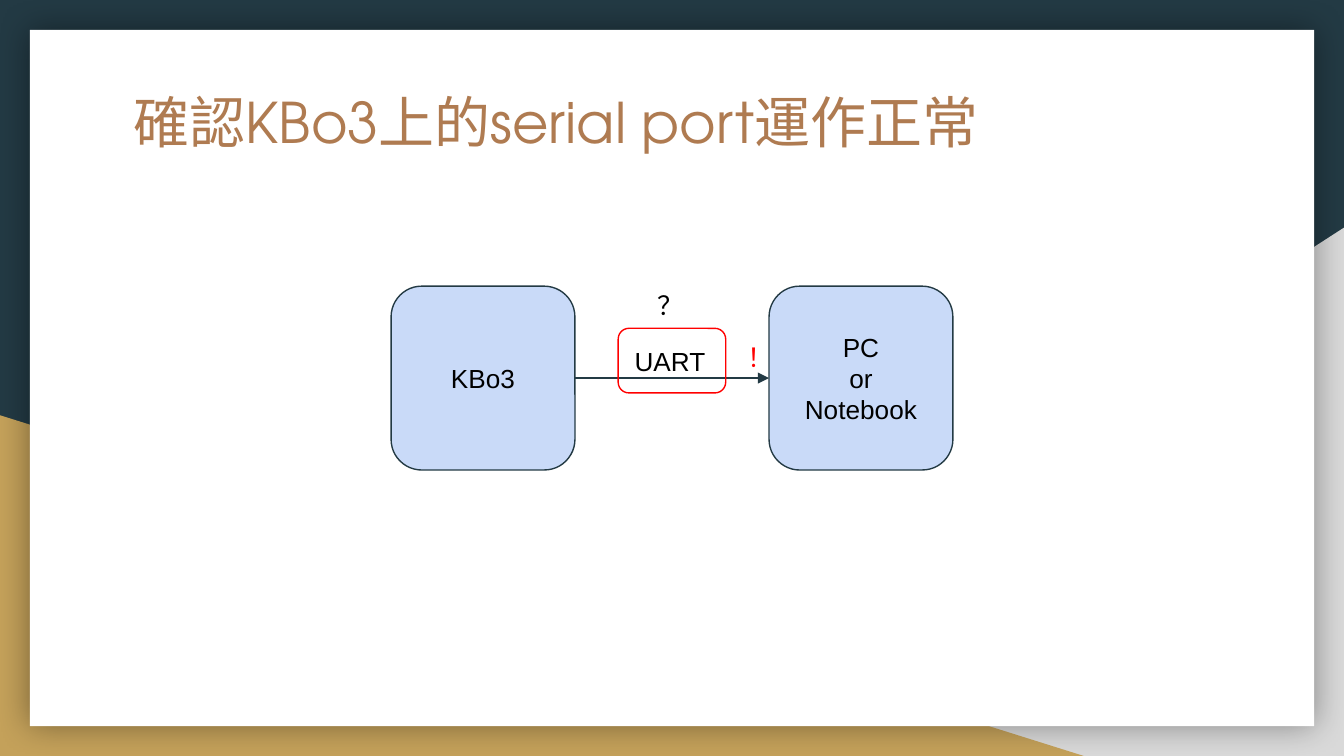
from dataclasses import dataclass

from lxml import etree
from pptx import Presentation
from pptx.dml.color import RGBColor
from pptx.enum import shapes, text
from pptx.oxml import ns
from pptx.util import Pt


@dataclass(frozen=True)
class Theme:
    navy: str = "233A44"
    grey: str = "D9D9D9"
    gold: str = "C4A15A"
    white: str = "FFFFFF"
    brown: str = "AF7B51"
    blue: str = "C9DAF8"
    red: str = "FF0000"
    black: str = "000000"
    title_font: str = "TeX Gyre Adventor"
    body_font: str = "Arial"
    mark_font: str = "Calibri"
    title_size: float = 30
    body_size: float = 14
    line: float = 0.75
    inset: float = 7.2
    corner: float = 0.167


T = Theme()
SHAPE = shapes.MSO_SHAPE
CENTER = text.PP_ALIGN.CENTER
LEFT = text.PP_ALIGN.LEFT
TOP = text.MSO_ANCHOR.TOP
MIDDLE = text.MSO_ANCHOR.MIDDLE
BOARD = "KBo3"


def rgb(color):
    return RGBColor.from_string(color)


def add_xml(parent, tag, **attrs):
    return etree.SubElement(parent, ns.qn(tag), attrs)


def write(tf, words, font=T.body_font, size=T.body_size, color=T.black,
          align=CENTER, anchor=MIDDLE):
    tf.word_wrap = True
    tf.auto_size = text.MSO_AUTO_SIZE.NONE
    tf.vertical_anchor = anchor
    tf.margin_left = tf.margin_right = Pt(T.inset)
    tf.margin_top = tf.margin_bottom = Pt(T.inset)
    for i, line in enumerate(words.split("\n")):
        p = tf.add_paragraph() if i else tf.paragraphs[0]
        p.alignment = align
        r = p.add_run()
        r.text = line
        r.font.name = font
        r.font.size = Pt(size)
        r.font.color.rgb = rgb(color)
        add_xml(r.font._element, "a:ea", typeface=font)


def add_box(s, kind, box, fill=None, line=None):
    sp = s.shapes.add_shape(kind, *map(Pt, box))
    sp.shadow.inherit = False
    if fill:
        sp.fill.solid()
        sp.fill.fore_color.rgb = rgb(fill)
    else:
        sp.fill.background()
    if line:
        sp.line.color.rgb = rgb(line)
        sp.line.width = Pt(T.line)
    else:
        sp.line.fill.background()
    return sp


def add_node(s, box, words, fill=None, line=T.navy, align=CENTER):
    sp = add_box(s, SHAPE.ROUNDED_RECTANGLE, box, fill, line)
    sp.adjustments[0] = T.corner
    write(sp.text_frame, words, align=align)


def add_mark(s, center_x, top, words, color):
    side = 24.5
    sp = s.shapes.add_textbox(Pt(center_x - side / 2), Pt(top), Pt(side), Pt(side))
    write(sp.text_frame, words, font=T.mark_font, color=color, anchor=TOP)


def add_arrow(s, x1, x2, y):
    sp = s.shapes.add_connector(shapes.MSO_CONNECTOR.STRAIGHT, Pt(x1), Pt(y), Pt(x2), Pt(y))
    sp.line.color.rgb = rgb(T.navy)
    sp.line.width = Pt(T.line)
    add_xml(sp.line._get_or_add_ln(), "a:tailEnd", type="triangle")
    add_xml(sp._element.spPr, "a:effectLst")


def add_backdrop(s, box):
    x, y, w, h = box
    s.background.fill.solid()
    s.background.fill.fore_color.rgb = rgb(T.navy)
    grey_w, grey_h = 438, 283
    gold_w, gold_h = 580.5, 182.5
    grey = add_box(s, SHAPE.RIGHT_TRIANGLE,
                   (x + w - grey_w, y + h - grey_h, grey_w, grey_h), T.grey)
    grey._element.spPr.xfrm.set("flipH", "1")
    add_box(s, SHAPE.RIGHT_TRIANGLE, (x, y + h - gold_h, gold_w, gold_h), T.gold)
    margin = 16
    panel = add_box(s, SHAPE.RECTANGLE,
                    (x + margin, y + margin, w - 2 * margin, h - 2 * margin), T.white)
    effects = panel._element.spPr.find(ns.qn("a:effectLst"))
    shadow = add_xml(effects, "a:outerShdw", blurRad=str(Pt(18)), dist="0",
                     dir="0", algn="ctr", rotWithShape="0")
    add_xml(add_xml(shadow, "a:srgbClr", val=T.black), "a:alpha", val="40000")


def add_title(s, box, words):
    sp = s.shapes.title
    sp.left, sp.top, sp.width, sp.height = map(Pt, box)
    write(sp.text_frame, words, font=T.title_font, size=T.title_size,
          color=T.brown, align=LEFT, anchor=TOP)
    s.shapes._spTree.append(sp._element)


def add_link_diagram(s, box):
    x, y, w, side = box
    center_x, center_y = x + w / 2, y + side / 2
    label_w, label_h = 57.6, 34.6
    label_top = y + 22.6
    add_node(s, (x, y, side, side), BOARD, T.blue)
    add_arrow(s, x + side, x + w - side, center_y)
    add_node(s, (center_x - label_w / 2, label_top, label_w, label_h), "UART",
             line=T.red, align=LEFT)
    add_mark(s, center_x - 2.6, y - 5.6, "？", T.black)
    add_node(s, (x + w - side, y, side, side), "PC\nor\nNotebook", T.blue)
    add_mark(s, center_x + 45.6, label_top, "！", T.red)


def main():
    prs = Presentation()
    prs.slide_width, prs.slide_height = Pt(720), Pt(405)
    s = prs.slides.add_slide(prs.slide_layouts[5])
    add_backdrop(s, (0, 0, 720, 405))
    add_title(s, (64.5, 39.5, 591, 46.5), f"確認{BOARD}上的serial port運作正常")
    add_link_diagram(s, (209.5, 153.3, 301, 98.5))
    prs.save("out.pptx")


if __name__ == "__main__":
    main()
